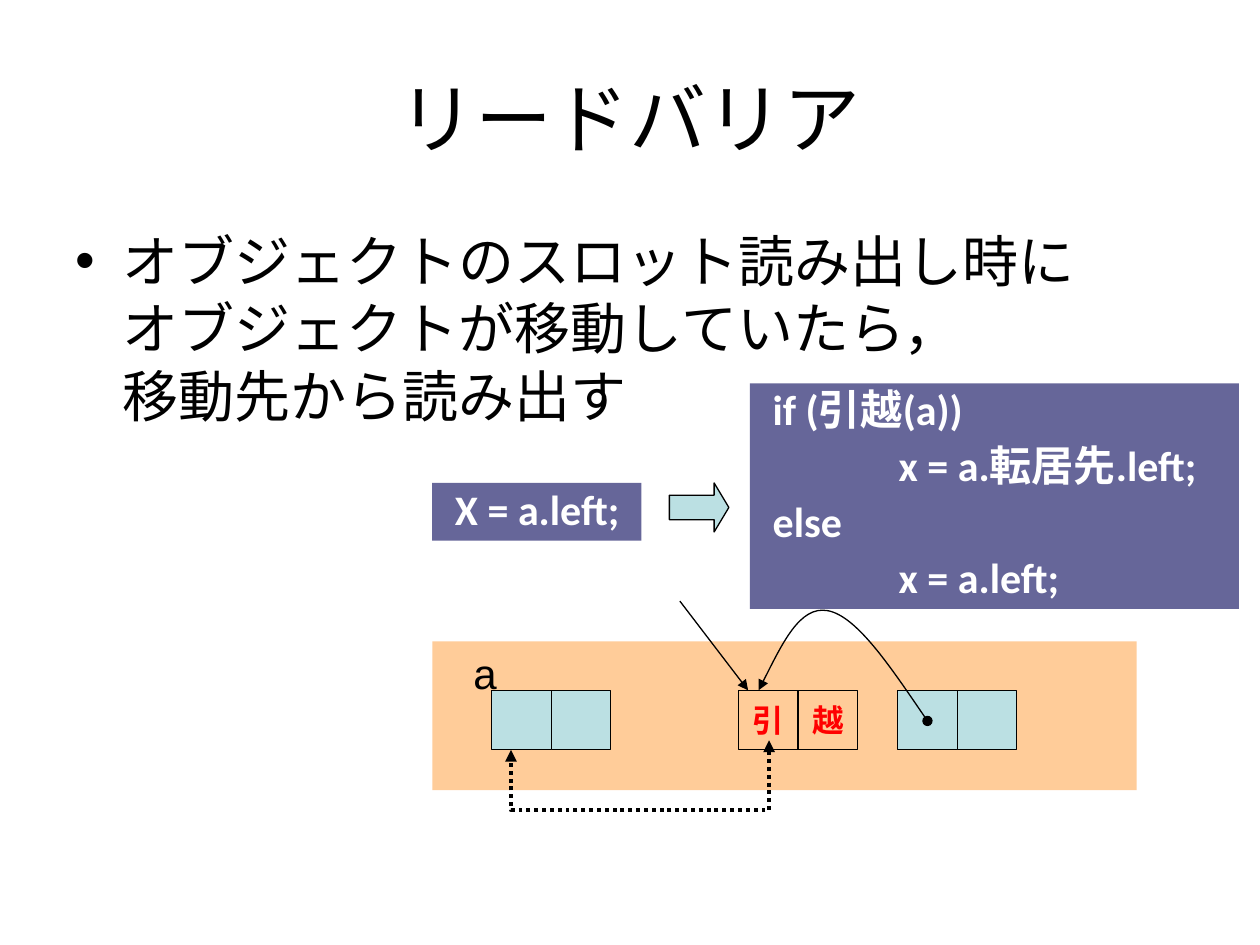
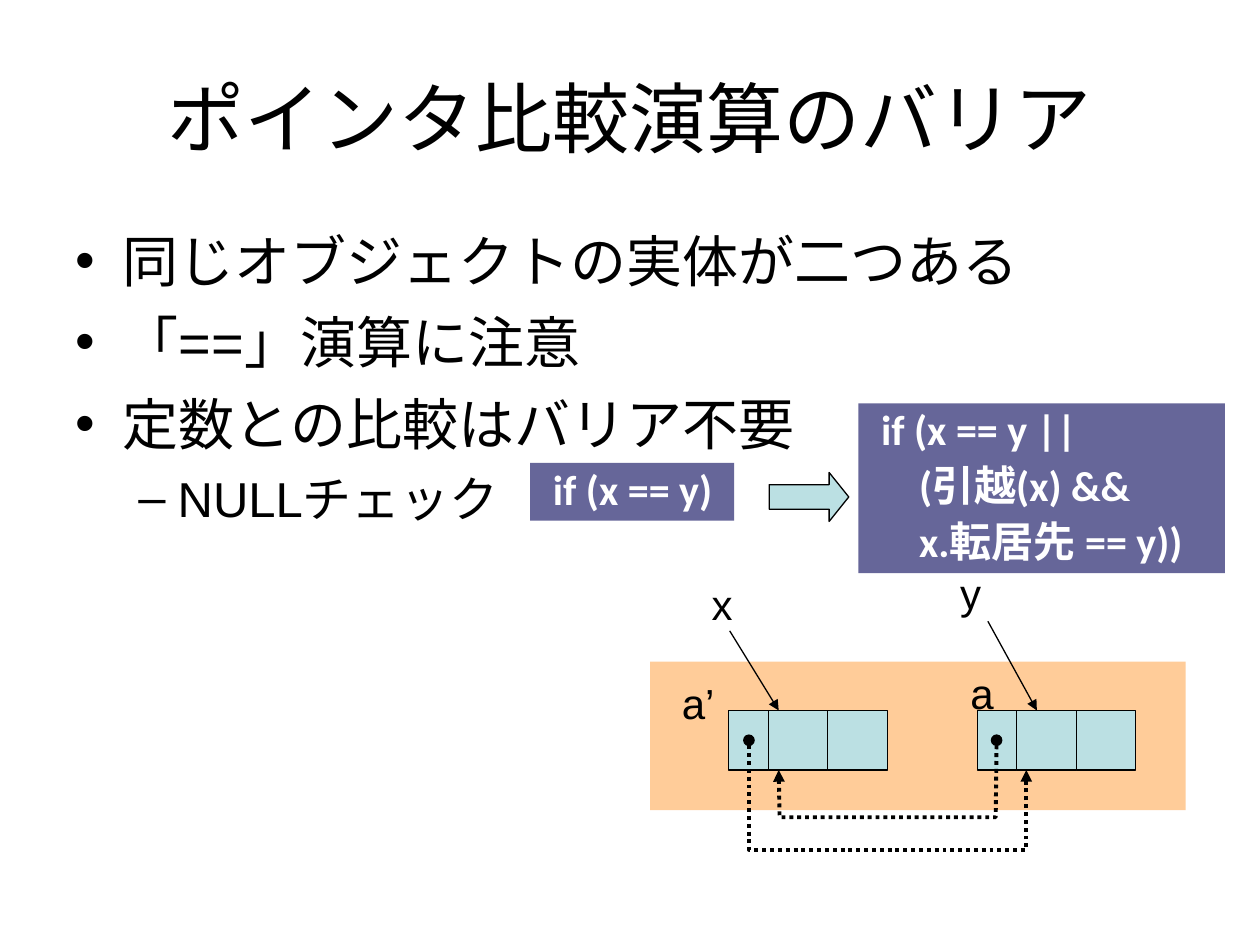
"""Build two slides on read barriers and pointer comparison barriers."""
from dataclasses import dataclass
from lxml.etree import SubElement
from pptx import Presentation
from pptx.dml.color import RGBColor
from pptx.enum.lang import MSO_LANGUAGE_ID
from pptx.enum.shapes import MSO_CONNECTOR, MSO_SHAPE
from pptx.enum.text import MSO_ANCHOR, MSO_AUTO_SIZE, PP_ALIGN
from pptx.oxml.ns import qn
from pptx.util import Pt


@dataclass(frozen=True)
class Theme:
    ink: str = "000000"
    paper: str = "FFFFFF"
    alert: str = "FF0000"
    heap: str = "FFCC99"
    cell: str = "BBE0E3"
    code: str = "666699"
    font: str = "Arial"
    mono: str = "Calibri"
    title: int = 44
    body: tuple = (32, 28)
    note: int = 24
    mark: int = 18
    thin: float = 0.75
    thick: float = 2.25


LOOK = Theme()
CELL = 34
HEAD = 22.5
TAB = 72
BULLETS = (("•", 27, -27, 8), ("–", 58.5, -22.5, 7))

SLIDES = [
    dict(
        title="リードバリア",
        body=[(0, "オブジェクトのスロット読み出し時に\vオブジェクトが移動していたら，\v移動先から読み出す")],
        tall=138,
        heap=(247, 366.5, 402.5, 85),
        rows=[(422, 394.5, False, ("引", "越")),
              (513, 394.5, False, ("", "")),
              (281, 394.5, False, ("", ""))],
        notes=[("a", 263.5, 366.5, 28)],
        links=[(388.5, 343.5, 427.5, 394.5)],
        curves=[[(530, 412), (509.5, 382), (489.5, 352), (473, 349),
                 (457, 346), (445.5, 371), (433.5, 394.5)]],
        paths=[("triangle", [(439.5, 423), (439.5, 463), (292, 463), (292, 428.5)])],
        codes=[(247, 276, 119.5, 33, ["X = a.left;"]),
               (428.5, 219, 279.5, 129,
                ["if (引越(a))", "\tx = a.転居先.left;", "else", "\tx = a.left;"])],
        arrow=(382.5, 276, 34, 28, 0.3),
    ),
    dict(
        title="ポインタ比較演算のバリア",
        body=[(0, "同じオブジェクトの実体が二つある"), (0, "「==」演算に注意"),
              (0, "定数との比較はバリア不要"), (1, "NULLチェック")],
        tall=356.5,
        heap=(371.5, 378, 306, 85),
        rows=[(558.5, 406, True, ("", "")), (416.5, 406, True, ("", ""))],
        notes=[("a’", 382.5, 383.5, 57), ("a", 547.5, 378, 28),
               ("x", 399.5, 327, 23), ("y", 541.5, 321, 23)],
        links=[(417, 360.5, 445, 406), (564.5, 355, 592.5, 406)],
        curves=[],
        paths=[("oval", [(569.5, 423), (569, 467), (445.5, 467), (445, 440)]),
               ("oval", [(428, 423), (428, 485.5), (586.5, 485.5), (586.5, 440)])],
        codes=[(303, 264.5, 116.5, 33, ["if (x == y)"]),
               (490.5, 230.5, 209.5, 97,
                ["if (x == y ||", "    (引越(x) &&", "    x.転居先 == y))"])],
        arrow=(439.5, 270, 45.5, 28, 0.4),
    ),
]


def tint(name):
    return RGBColor.from_string(name)


def style(para, size, color=LOOK.ink, font=LOOK.font, bold=False):
    for run in para.runs:
        run.font.size = Pt(size)
        run.font.name = font
        run.font.bold = bold
        run.font.color.rgb = tint(color)
        run.font.language_id = MSO_LANGUAGE_ID.JAPANESE


def text_box(slide, box, lines):
    frame = slide.shapes.add_textbox(*map(Pt, box)).text_frame
    frame.word_wrap = True
    fill_text(frame, lines)
    return frame


def fill_text(frame, lines):
    for num, line in enumerate(lines):
        para = frame.add_paragraph() if num else frame.paragraphs[0]
        para.text = line


def block(slide, box, fill, edge=False, kind=MSO_SHAPE.RECTANGLE):
    shape = slide.shapes.add_shape(kind, *map(Pt, box))
    shape.shadow.inherit = False
    shape.fill.solid()
    shape.fill.fore_color.rgb = tint(fill)
    if edge:
        stroke(shape, LOOK.thin)
    else:
        shape.line.fill.background()
    return shape


def stroke(shape, width, head=None, tail=None, dash=None):
    shape.line.width = Pt(width)
    shape.line.color.rgb = tint(LOOK.ink)
    line = shape._element.spPr.find(qn("a:ln"))
    if dash:
        SubElement(line, qn("a:prstDash"), val=dash)
    for tag, kind in (("a:headEnd", head), ("a:tailEnd", tail)):
        if kind:
            SubElement(line, qn(tag), type=kind)


def trace(slide, points):
    first, *rest = [(Pt(x), Pt(y)) for x, y in points]
    build = slide.shapes.build_freeform(*first)
    build.add_line_segments(rest, close=False)
    shape = build.convert_to_shape()
    shape.shadow.inherit = False
    shape.fill.background()
    return shape


def bend(shape):
    """Turn each three segments of an outline into one cubic curve."""
    steps = list(shape._element.iter(qn("a:lnTo")))
    route = steps[0].getparent()
    for num in range(0, len(steps), 3):
        cubic = SubElement(route, qn("a:cubicBezTo"))
        for step in steps[num:num + 3]:
            cubic.append(step[0])
            route.remove(step)


def add_body(slide, items, tall):
    frame = text_box(slide, (36, 126, 648, tall), [text for _, text in items])
    for num, (para, (level, _)) in enumerate(zip(frame.paragraphs, items)):
        mark, left, hang, gap = BULLETS[level]
        para.level = level
        para.space_before = Pt(gap if num else 0)
        props = para._p.get_or_add_pPr()
        props.set("marL", str(Pt(left)))
        props.set("indent", str(Pt(hang)))
        SubElement(props, qn("a:buFont"), typeface=LOOK.font)
        SubElement(props, qn("a:buChar"), char=mark)
        style(para, LOOK.body[level])


def add_row(slide, left, top, head, marks):
    if head:
        block(slide, (left, top, HEAD, CELL), LOOK.cell, True)
        left += HEAD
    for num, mark in enumerate(marks):
        fill = LOOK.heap if mark else LOOK.cell
        shape = block(slide, (left + num * CELL, top, CELL, CELL), fill, True)
        if mark:
            frame = shape.text_frame
            frame.word_wrap = False
            frame.text = mark
            frame.paragraphs[0].alignment = PP_ALIGN.CENTER
            style(frame.paragraphs[0], LOOK.mark, LOOK.alert, bold=True)


def add_code(slide, *box, lines):
    frame = block(slide, box, LOOK.code).text_frame
    frame.word_wrap = True
    frame.auto_size = MSO_AUTO_SIZE.NONE
    frame.vertical_anchor = MSO_ANCHOR.TOP
    frame.margin_left, frame.margin_right = Pt(13), 0
    fill_text(frame, lines)
    for num, para in enumerate(frame.paragraphs):
        para.alignment = PP_ALIGN.LEFT
        para.line_spacing = 0.9
        para.space_before = Pt(6 if num else 0)
        stops = SubElement(para._p.get_or_add_pPr(), qn("a:tabLst"))
        SubElement(stops, qn("a:tab"), pos=str(Pt(TAB)), algn="l")
        style(para, LOOK.note, LOOK.paper, LOOK.mono, True)


def add_link(slide, *ends):
    link = slide.shapes.add_connector(MSO_CONNECTOR.STRAIGHT, *map(Pt, ends))
    stroke(link, LOOK.thin, tail="triangle")
    SubElement(link._element.spPr, qn("a:effectLst"))


def draw(slide, data):
    frame = text_box(slide, (36, 21.5, 648, 90), [data["title"]])
    frame.vertical_anchor = MSO_ANCHOR.MIDDLE
    frame.paragraphs[0].alignment = PP_ALIGN.CENTER
    style(frame.paragraphs[0], LOOK.title)
    add_body(slide, data["body"], data["tall"])
    block(slide, data["heap"], LOOK.heap)
    for row in data["rows"]:
        add_row(slide, *row)
    for text, left, top, wide in data["notes"]:
        frame = text_box(slide, (left, top, wide, 36), [text])
        style(frame.paragraphs[0], LOOK.note)
    for ends in data["links"]:
        add_link(slide, *ends)
    for points in data["curves"]:
        curve = trace(slide, points)
        bend(curve)
        stroke(curve, LOOK.thin, "oval", "triangle")
    for head, points in data["paths"]:
        stroke(trace(slide, points), LOOK.thick, head, "triangle", "sysDot")
    for *box, lines in data["codes"]:
        add_code(slide, *box, lines=lines)
    *box, tip = data["arrow"]
    arrow = block(slide, box, LOOK.cell, True, MSO_SHAPE.RIGHT_ARROW)
    arrow.adjustments[1] = tip


def main():
    deck = Presentation()
    deck.slide_width, deck.slide_height = Pt(720), Pt(540)
    for data in SLIDES:
        draw(deck.slides.add_slide(deck.slide_layouts[6]), data)
    deck.save("out.pptx")


if __name__ == "__main__":
    main()
